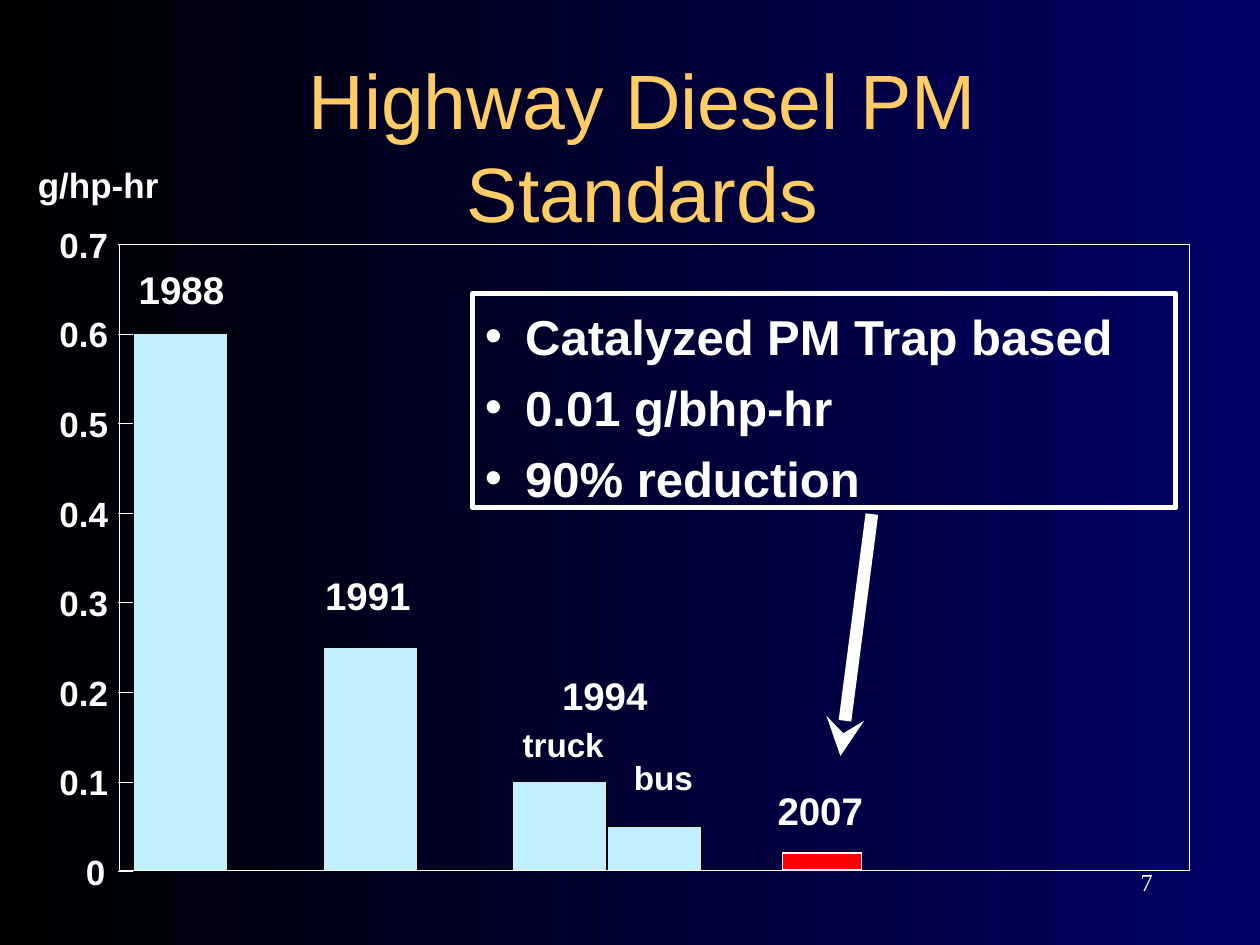
"""Builds the Highway Diesel PM Standards slide."""
import pptx
import pptx.dml.color
import pptx.enum.shapes
import pptx.enum.text
import pptx.oxml
import pptx.oxml.ns
import pptx.util

COLUMNS, ROWS = 100, 75
BASE, STEP = 69.15, 7.11
AXIS_LEFT, FIRST_BAR, BAR_WIDTH = 9.4, 10.6, 7.52
WHITE, BLACK, PALE_BLUE = "FFFFFF", "000000", "C2EFFF"
ALIGN = pptx.enum.text.PP_ALIGN


def color(value):
    return pptx.dml.color.RGBColor.from_string(value)


class Sheet:
    def __init__(self, deck):
        self.font = "Arial"
        self.column = deck.slide_width / COLUMNS
        self.row = deck.slide_height / ROWS
        self.page = deck.slides.add_slide(deck.slide_layouts[5])

    def place(self, left, top, width, height):
        return [round(left * self.column), round(top * self.row),
                round(width * self.column), round(height * self.row)]

    def background(self, start, end):
        fill = self.page.background.fill
        fill.gradient()
        fill.gradient_angle = 180
        for stop, value in zip(fill.gradient_stops, (start, end)):
            stop.color.rgb = color(value)

    def add_words(self, para, words, size, ink=WHITE, bold=True, font=None):
        span = para.add_run()
        span.text = words
        span.font.name = font or self.font
        span.font.size = pptx.util.Pt(size)
        span.font.bold = bold
        span.font.color.rgb = color(ink)

    def frame(self, box, wrap=False, insets=(0, 0)):
        text = box.text_frame
        text.word_wrap = wrap
        text.auto_size = pptx.enum.text.MSO_AUTO_SIZE.NONE
        text.vertical_anchor = pptx.enum.text.MSO_ANCHOR.TOP
        text.margin_left = text.margin_right = pptx.util.Inches(insets[0])
        text.margin_top = text.margin_bottom = pptx.util.Inches(insets[1])
        return text

    def title(self, words, area, size, ink):
        box = self.page.shapes.title
        box.left, box.top, box.width, box.height = self.place(*area)
        para = self.frame(box).paragraphs[0]
        para.alignment = ALIGN.CENTER
        self.add_words(para, words, size, ink, bold=False)

    def label(self, words, area, size, align=ALIGN.CENTER, **style):
        box = self.page.shapes.add_textbox(*self.place(*area))
        para = self.frame(box).paragraphs[0]
        para.alignment = align
        self.add_words(para, words, size, **style)

    def rectangle(self, area, fill, line, weight):
        kind = pptx.enum.shapes.MSO_SHAPE.RECTANGLE
        box = self.page.shapes.add_shape(kind, *self.place(*area))
        box.shadow.inherit = False
        if fill:
            box.fill.solid()
            box.fill.fore_color.rgb = color(fill)
        else:
            box.fill.background()
        box.line.color.rgb = color(line)
        box.line.width = pptx.util.Pt(weight)
        return box

    def bullets(self, area, items, size):
        box = self.rectangle(area, None, WHITE, 3)
        text = self.frame(box, wrap=True, insets=(0.1, 0.1))
        indent = pptx.util.Inches(0.32)
        namespace = pptx.oxml.ns.nsdecls("a")
        for index, words in enumerate(items):
            para = text.add_paragraph() if index else text.paragraphs[0]
            para.alignment = ALIGN.LEFT
            para.space_before = pptx.util.Pt(3.5 if index else 0)
            para.space_after = pptx.util.Pt(3.5)
            layout = para._p.get_or_add_pPr()
            layout.set("marL", str(indent))
            layout.set("indent", str(-indent))
            for mark in (f'<a:buClr {namespace}><a:srgbClr val="{WHITE}"/></a:buClr>',
                         f'<a:buFont {namespace} typeface="{self.font}"/>',
                         f'<a:buChar {namespace} char="•"/>'):
                layout.append(pptx.oxml.parse_xml(mark))
            self.add_words(para, words, size)

    def line(self, start, end, weight, arrow=False):
        kind = pptx.enum.shapes.MSO_CONNECTOR.STRAIGHT
        line = self.page.shapes.add_connector(
            kind, *self.place(*start, *end))
        line.line.color.rgb = color(WHITE)
        line.line.width = pptx.util.Pt(weight)
        namespace = pptx.oxml.ns.nsdecls("a")
        properties = line._element.spPr
        if arrow:
            properties.get_or_add_ln().append(pptx.oxml.parse_xml(
                f'<a:tailEnd {namespace} type="stealth"/>'))
        properties.append(pptx.oxml.parse_xml(f"<a:effectLst {namespace}/>"))


def main():
    deck = pptx.Presentation()
    deck.slide_width = pptx.util.Inches(10)
    deck.slide_height = pptx.util.Inches(7.5)
    sheet = Sheet(deck)
    sheet.background("000066", BLACK)
    sheet.title("Highway Diesel PM Standards", (9.7, 4.2, 82.6, 7.3), 44, "FFCC66")

    for tick in range(8):
        level = BASE - tick * STEP
        words, left, width = (f"0.{tick}", 4.7, 3.9) if tick else ("0", 6.8, 1.6)
        sheet.label(words, (left, level - 1.65, width, 3.3), 20)
        sheet.line((AXIS_LEFT, level), (FIRST_BAR, level), 0.11)
    sheet.label("g/hp-hr", (1.3, 13, 13, 3.3), 20)

    for slot, value in ((0, 0.6), (2, 0.25), (4, 0.1), (5, 0.05)):
        height = value * 10 * STEP
        area = (FIRST_BAR + slot * BAR_WIDTH, BASE - height, BAR_WIDTH, height)
        sheet.rectangle(area, PALE_BLUE, BLACK, 0.88)
    sheet.rectangle((9.5, 19.4, 84.9, 49.7), None, WHITE, 0.88)
    sheet.rectangle((62.1, 67.7, 6.3, 1.3), "FF0000", WHITE, 0.75)

    for year, left, top in (("1988", 11, 21.1), ("1991", 25.8, 45.4),
                            ("1994", 44.6, 53.3), ("2007", 61.7, 62.5)):
        sheet.label(year, (left, top, 6.8, 3.7), 22)
    sheet.label("truck", (41.5, 57.5, 6.4, 3.2), 19)
    sheet.label("bus", (50.3, 60.1, 4.7, 3.2), 19)

    sheet.line((69.2, 40.8), (66.7, 60), 7.25, arrow=True)
    sheet.bullets((37.5, 23.3, 55.8, 17), (
        "Catalyzed PM Trap based", "0.01 g/bhp-hr", "90% reduction"), 28)
    sheet.label("7", (72.7, 68.8, 18.8, 4), 14, ALIGN.RIGHT,
                bold=False, font="Times New Roman")
    deck.save("out.pptx")


if __name__ == "__main__":
    main()
